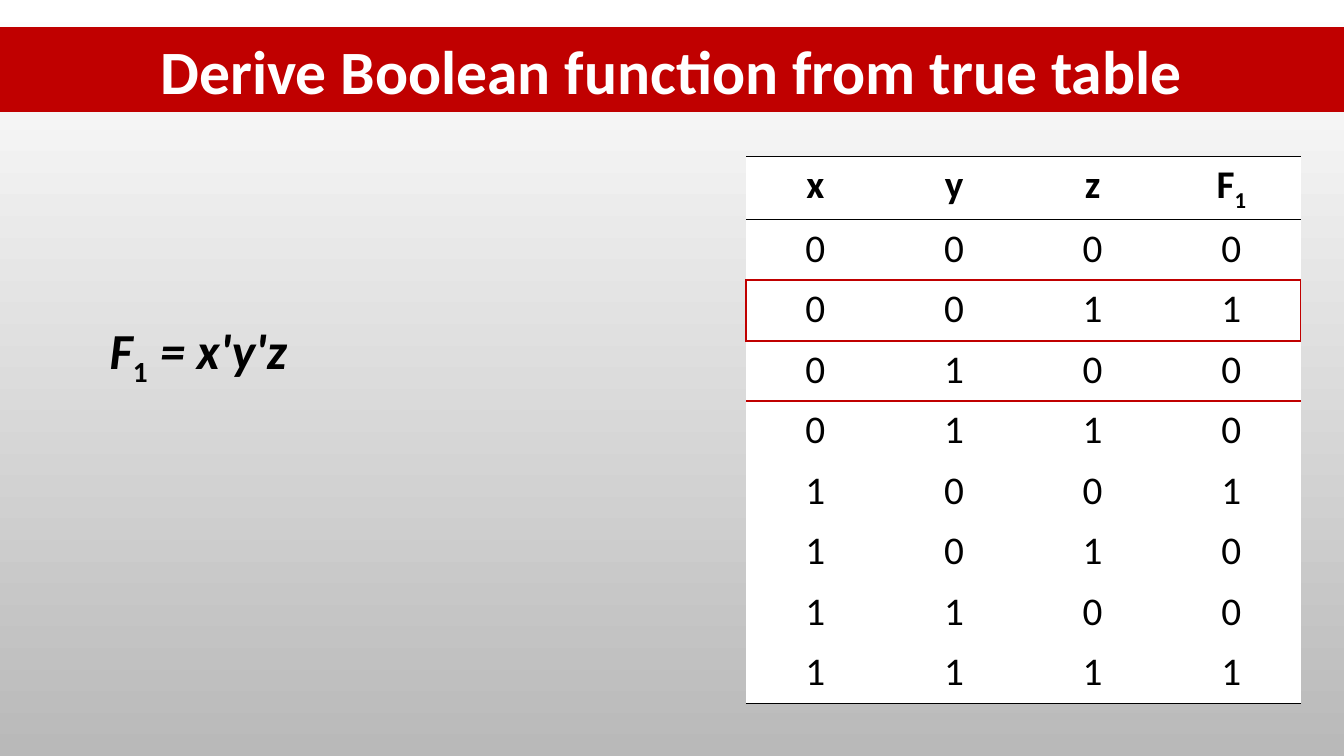
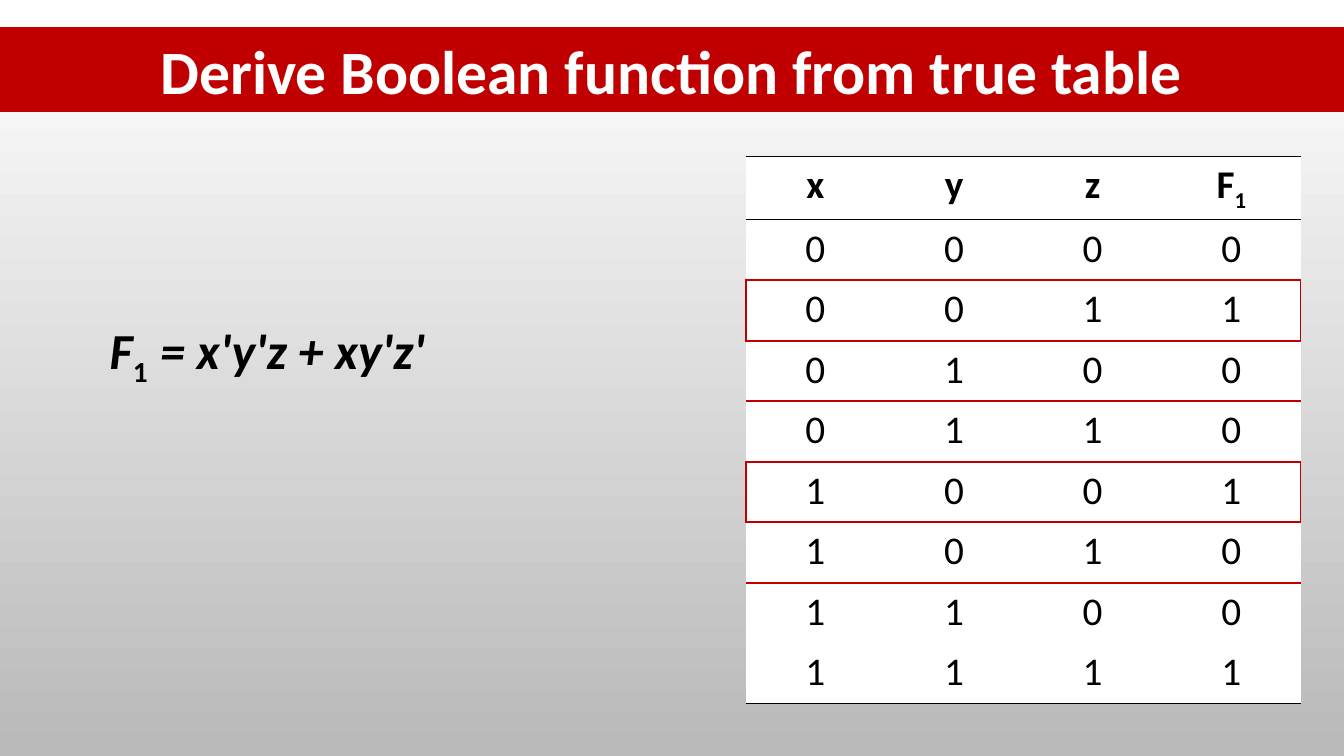
"""Build two slides that derive a Boolean function from its truth table."""
from dataclasses import dataclass, field
from itertools import product
from typing import Any, NamedTuple, Optional

from lxml.etree import SubElement as Sub
from pptx import Presentation as Deck
from pptx.dml.color import RGBColor as Rgb
from pptx.enum.shapes import MSO_SHAPE as Kind
from pptx.enum.text import MSO_AUTO_SIZE as Fit, PP_ALIGN as Align
from pptx.oxml.ns import qn
from pptx.util import Emu, Pt

SCALE = 9144
PLAIN = "{2D5ABB26-0587-4C30-8999-92F81FD0307C}"
TITLE = "Derive Boolean function from true table"
ONES = (1, 4, 7)


@dataclass(frozen=True)
class Theme:
    """Colours, font and type sizes of the deck."""
    red: str = "C00000"
    black: str = "000000"
    white: str = "FFFFFF"
    grey: str = "B9B9B9"
    font: str = "Calibri"
    head: int = 44
    sum: int = 36
    cell: int = 28


class Box(NamedTuple):
    """A place on the slide in px."""
    left: int
    top: int
    width: int
    height: int


class Line(NamedTuple):
    """Colour and point width of a border."""
    tint: str
    width: float


@dataclass(frozen=True)
class Part:
    """A run of text with its own format."""
    text: str
    form: dict[str, Any] = field(default_factory=dict)
    low: bool = False


@dataclass(frozen=True)
class Page:
    """The terms found so far and the rows they come from."""
    terms: str
    marks: tuple[int, ...]


THEME = Theme()
SIZE = (1333, 750)
BAND = Box(0, 27, 1333, 84)
SUM = Box(99, 312, 557, 71)
GRID = Box(740, 155, 550, 540)
INDENT = 50
RULE = Line(THEME.black, 1)
FRAME = Line(THEME.red, 1.5)
PAGES = (Page("= x'y'z", (1,)), Page("= x'y'z + xy'z'", (1, 4)))


def px(count: int) -> Emu:
    """Turn px into EMU."""
    return Emu(count * SCALE)


def place(box: Box) -> list[Emu]:
    """Turn a box into EMU lengths."""
    return [px(side) for side in box]


def write(par: Any, parts: list[Part], size: int, tint: str, **form: Any) -> None:
    """Add the parts to a paragraph in one shared format."""
    for part in parts:
        run = par.add_run()
        run.text = part.text
        look = {"name": THEME.font, "size": Pt(size), **form, **part.form}
        for key, value in look.items():
            setattr(run.font, key, value)
        run.font.color.rgb = Rgb.from_string(tint)
        if part.low:
            run.font._element.set("baseline", "-25000")


def paint(deck: Any) -> None:
    """Give the master its gradient background."""
    fill = deck.slide_master.background.fill
    fill.gradient()
    fill.gradient_angle = 270
    for stop, tint in zip(fill.gradient_stops, (THEME.white, THEME.grey)):
        stop.color.rgb = Rgb.from_string(tint)


def add_band(slide: Any) -> None:
    """Draw the title band."""
    band = slide.shapes.add_shape(Kind.RECTANGLE, *place(BAND))
    band.shadow.inherit = False
    band.fill.solid()
    band.fill.fore_color.rgb = Rgb.from_string(THEME.red)
    band.line.fill.background()
    frame = band.text_frame
    frame.auto_size = Fit.SHAPE_TO_FIT_TEXT
    par = frame.paragraphs[0]
    par.alignment = Align.CENTER
    write(par, [Part(TITLE)], THEME.head, THEME.white, bold=True)


def add_sum(slide: Any, terms: str) -> None:
    """Write the function with a hanging indent."""
    frame = slide.shapes.add_textbox(*place(SUM)).text_frame
    for key, value in {"word_wrap": True, "auto_size": Fit.SHAPE_TO_FIT_TEXT}.items():
        setattr(frame, key, value)
    par = frame.paragraphs[0]
    par.level = 1
    props = par._p.get_or_add_pPr()
    props.set("marL", str(px(INDENT)))
    props.set("indent", str(-px(INDENT)))
    parts = [Part("F"), Part("1\t", {"italic": False}, True), Part(terms)]
    write(par, parts, THEME.sum, THEME.black, bold=True, italic=True)


def edge(index: int, last: int, marks: tuple[int, ...]) -> Optional[Line]:
    """Find the line above a row, or below the last one."""
    if {index - 1, index - 2} & set(marks):
        return FRAME
    return RULE if index in (0, 1, last) else None


def border(cell: Any, sides: dict[str, Optional[Line]]) -> None:
    """Draw the given sides of a cell."""
    props = cell._tc.get_or_add_tcPr()
    for side, line in sides.items():
        if line:
            node = Sub(props, qn(f"a:ln{side}"), w=str(Pt(line.width)))
            Sub(Sub(node, qn("a:solidFill")), qn("a:srgbClr"), val=line.tint)


def add_grid(slide: Any, marks: tuple[int, ...]) -> None:
    """Draw the truth table and frame the marked rows."""
    rows = [[[Part(name)] for name in "xyz"] + [[Part("F"), Part("1", low=True)]]]
    for index, bits in enumerate(product((0, 1), repeat=3)):
        rows.append([[Part(str(bit))] for bit in (*bits, int(index in ONES))])
    count, width = len(rows), len(rows[0])
    table = slide.shapes.add_table(count, width, *place(GRID)).table
    table.first_row = table.horz_banding = False
    table._tbl.tblPr.find(qn("a:tableStyleId")).text = PLAIN
    for row, col in product(range(count), range(width)):
        cell = table.cell(row, col)
        mark = row - 1 in marks
        border(cell, {
            "L": FRAME if mark and col == 0 else None,
            "R": FRAME if mark and col == width - 1 else None,
            "T": edge(row, count, marks),
            "B": edge(row + 1, count, marks),
        })
        cell.fill.solid()
        cell.fill.fore_color.rgb = Rgb.from_string(THEME.white)
        par = cell.text_frame.paragraphs[0]
        par.alignment = Align.CENTER
        write(par, rows[row][col], THEME.cell, THEME.black, bold=row == 0)


def main() -> None:
    """Build and save the deck."""
    deck = Deck()
    deck.slide_width, deck.slide_height = map(px, SIZE)
    paint(deck)
    for page in PAGES:
        slide = deck.slides.add_slide(deck.slide_layouts[6])
        add_band(slide)
        add_sum(slide, page.terms)
        add_grid(slide, page.marks)
    deck.save("out.pptx")


if __name__ == "__main__":
    main()
